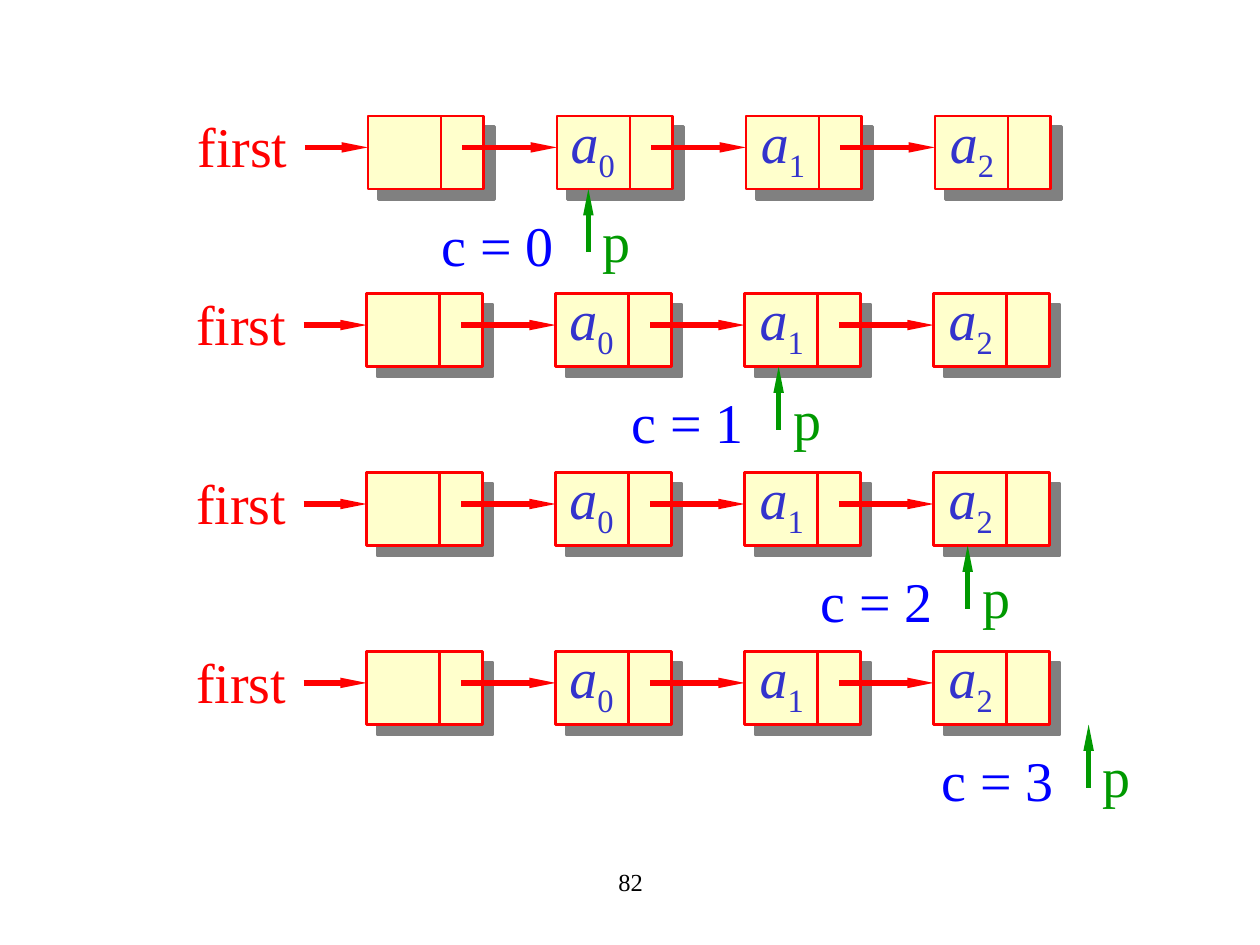
"""Build a slide that traces pointer p and counter c along a linked list."""
from lxml import etree
from pptx import Presentation
from pptx.dml.color import RGBColor
from pptx.enum.shapes import MSO_CONNECTOR, MSO_SHAPE
from pptx.enum.text import MSO_ANCHOR, MSO_AUTO_SIZE, PP_ALIGN
from pptx.oxml import parse_xml
from pptx.oxml.ns import qn
from pptx.util import Inches, Pt

RED, GREEN, BLUE, INDIGO = "FF0000", "009900", "0000FF", "3333CC"
SHADOW = (
    '<a:outerShdw xmlns:a="http://schemas.openxmlformats.org/drawingml/2006/main" '
    'dist="107950" dir="2700000" algn="ctr" rotWithShape="0">'
    '<a:srgbClr val="808080"/></a:outerShdw>'
)
BOX_W, BOX_H, STEP = 0.92, 0.58, 1.5

prs = Presentation()
prs.slide_width, prs.slide_height = Inches(10), Inches(7.5)
s = prs.slides.add_slide(prs.slide_layouts[6])


def add_line(x1, y1, x2, y2, color, width, arrow=False):
    cn = s.shapes.add_connector(
        MSO_CONNECTOR.STRAIGHT, Inches(x1), Inches(y1), Inches(x2), Inches(y2)
    )
    cn.line.color.rgb = RGBColor.from_string(color)
    cn.line.width = Pt(width)
    if arrow:
        ln = cn.line._get_or_add_ln()
        etree.SubElement(ln, qn("a:tailEnd"), type="triangle", w="sm", len="lg")
    etree.SubElement(cn._element.spPr, qn("a:effectLst"))


def add_label(x, y, w, h, text, color, size=32, sub=""):
    tf = s.shapes.add_textbox(Inches(x), Inches(y), Inches(w), Inches(h)).text_frame
    tf.word_wrap = False
    tf.auto_size = MSO_AUTO_SIZE.SHAPE_TO_FIT_TEXT
    tf.vertical_anchor = MSO_ANCHOR.MIDDLE
    p = tf.paragraphs[0]
    p.text = text
    p.alignment = PP_ALIGN.CENTER
    if sub:
        p.runs[0].font.italic = True
        r = p.add_run()
        r.text = sub
        r.font._element.set("baseline", "-25000")
    for r in p.runs:
        r.font.name = "Times New Roman"
        r.font.size = Pt(size)
        r.font.color.rgb = RGBColor.from_string(color)
    return tf


tf = add_label(3.42, 6.83, 3.17, 0.5, "82", "000000", size=14)
tf.auto_size = MSO_AUTO_SIZE.NONE
tf.word_wrap = True
tf.vertical_anchor = MSO_ANCHOR.TOP

rows = [(2.92, 0.92, 4.67), (2.91, 2.33, 6.18), (2.91, 3.75, 7.68), (2.91, 5.17, 8.64)]
for count, (left, top, pointer) in enumerate(rows):
    link_y, bottom = top + 0.25, top + BOX_H
    for node in range(4):
        x = left + node * STEP
        sp = s.shapes.add_shape(
            MSO_SHAPE.RECTANGLE, Inches(x), Inches(top), Inches(BOX_W), Inches(BOX_H)
        )
        sp.fill.solid()
        sp.fill.fore_color.rgb = RGBColor.from_string("FFFFCC")
        sp.line.color.rgb = RGBColor.from_string(RED)
        sp.line.width = Pt(1.5)
        sp.shadow.inherit = False
        sp._element.spPr.find(qn("a:effectLst")).append(parse_xml(SHADOW))
        if node < 3:
            add_line(x + 0.75, link_y, x + STEP, link_y, RED, 3, arrow=True)
        add_line(x + 0.58, top, x + 0.58, bottom, RED, 1.5)
        if node > 0:
            nudge = 0 if node == 1 else 0.01
            add_label(x + nudge, top - 0.08, 0.57, 0.63, "a", INDIGO, sub=str(node - 1))

    add_line(left - 0.5, link_y, left, link_y, RED, 3, arrow=True)
    add_label(left - 1.49, top - 0.08, 0.99, 0.63, "first", RED)
    add_line(pointer, bottom + 0.5, pointer, bottom, GREEN, 3, arrow=True)
    add_label(pointer, top + 0.67, 0.45, 0.63, "p", GREEN)
    add_label(pointer - 1.27, top + 0.7, 1.1, 0.63, f"c = {count}", BLUE)

prs.save("out.pptx")
